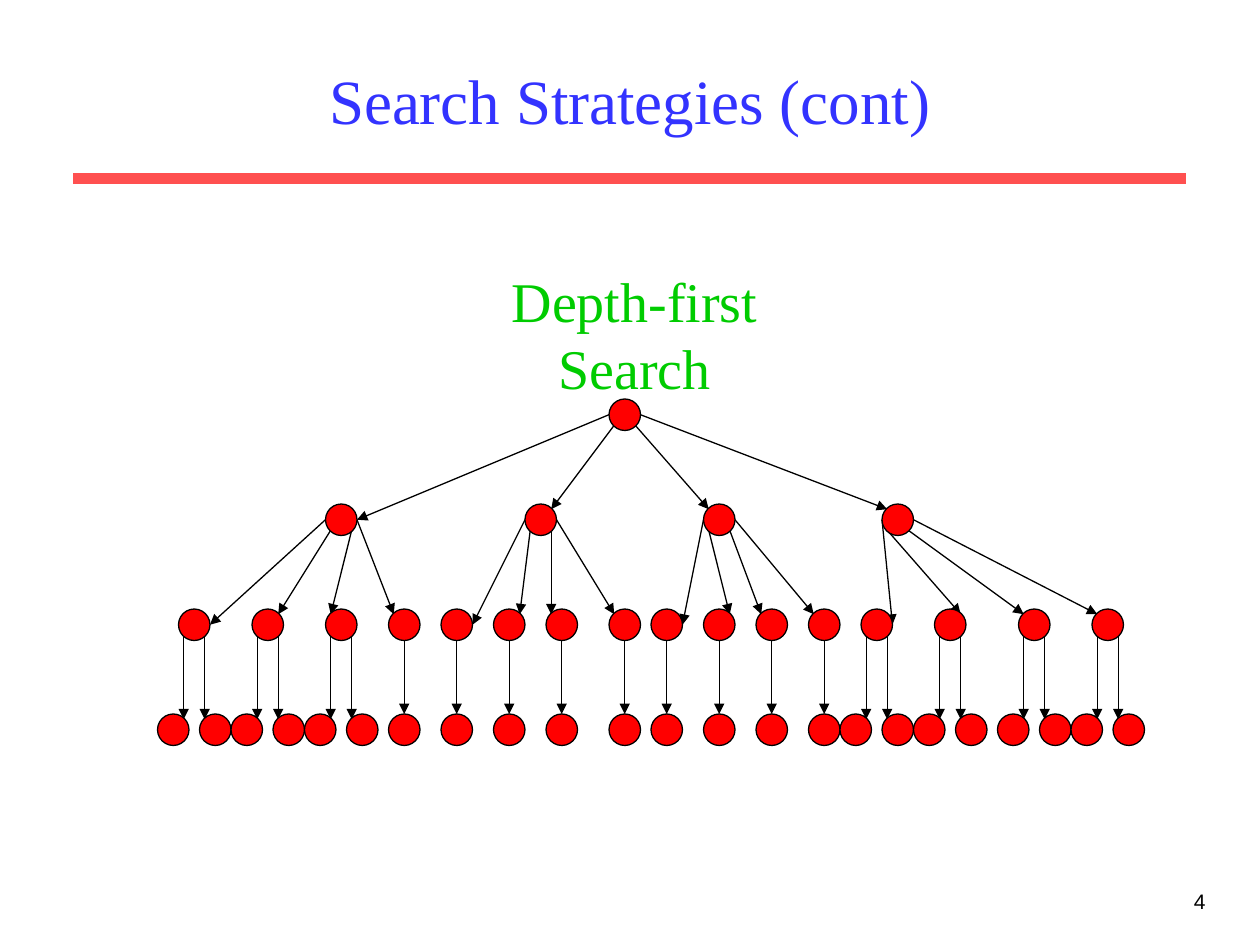
import pptx
import pptx.util
import pptx.dml.color
import pptx.enum.shapes
import pptx.enum.text
import pptx.oxml.ns
from lxml import etree

PX = 9525
COLORS = {"title": "3333FF", "rule": "FF5050", "heading": "00CC00",
          "node": "FF0000", "ink": "000000"}
ALIGN = pptx.enum.text.PP_ALIGN
DIAMETER = 24
SITES = {"top": (0, -12), "bottom": (0, 12), "left": (-12, 0), "right": (12, 0),
         "top_left": (-8, -8), "top_right": (8, -8),
         "bottom_left": (-8, 8), "bottom_right": (8, 8)}
ROUTES = {
    1: [("bottom", "top")],
    2: [("bottom_left", "top_right"), ("bottom_right", "top_left")],
    4: [("left", "right"), ("bottom_left", "top_right"),
        ("bottom_right", "top_left"), ("right", "top_left")],
}
ROOT_X, ROOT_Y, LEVEL_GAP = 476, 316, 80
BRANCHES = {
    260: [148, 204, 260, 308],
    412: [348, 388, 428, 476],
    548: [508, 548, 588, 628],
    684: [668, 724, 788, 844],
}
PAIR_PARENTS = {148, 204, 260, 668, 724, 788, 844}
PAIR_OFFSET = 16


def emu(*lengths):
    return [pptx.util.Emu(n * PX) for n in lengths]


def rgb(name):
    return pptx.dml.color.RGBColor.from_string(COLORS[name])


def set_text(s, text, align, color, frame, **font):
    tf = s.text_frame
    for key, value in frame.items():
        setattr(tf, key, value)
    p = tf.paragraphs[0]
    p.alignment = align
    r = p.add_run()
    r.text = text
    for key, value in font.items():
        setattr(r.font, key, value)
    r.font.color.rgb = rgb(color)


def add_title(slide, text):
    s = slide.shapes.title
    s.left, s.top, s.width, s.height = emu(72, 24, 816, 104)
    frame = {"vertical_anchor": pptx.enum.text.MSO_ANCHOR.MIDDLE, "word_wrap": True}
    set_text(s, text, ALIGN.CENTER, "title", frame,
             name="Times New Roman", size=pptx.util.Pt(36))


def add_text(slide, box, text, align, color, frame, **font):
    s = slide.shapes.add_textbox(*emu(*box))
    set_text(s, text, align, color, frame, **font)


def add_line(slide, start, end, color, width, arrow=False):
    s = slide.shapes.add_connector(
        pptx.enum.shapes.MSO_CONNECTOR.STRAIGHT, *emu(*start, *end))
    s.line.color.rgb = rgb(color)
    s.line.width = pptx.util.Pt(width)
    qn = pptx.oxml.ns.qn
    if arrow:
        etree.SubElement(s.line._get_or_add_ln(), qn("a:tailEnd"), type="triangle")
    etree.SubElement(s._element.spPr, qn("a:effectLst"))


def add_node(slide, x, y):
    r = DIAMETER // 2
    s = slide.shapes.add_shape(pptx.enum.shapes.MSO_SHAPE.OVAL,
                               *emu(x - r, y - r, DIAMETER, DIAMETER))
    s.shadow.inherit = False
    s.fill.solid()
    s.fill.fore_color.rgb = rgb("node")
    s.line.color.rgb = rgb("ink")
    s.line.width = pptx.util.Pt(0.75)


def site(x, y, name):
    dx, dy = SITES[name]
    return x + dx, y + dy


def children_of(x, level):
    if level == 0:
        return list(BRANCHES)
    if level == 1:
        return BRANCHES[x]
    if level == 2:
        return [x - PAIR_OFFSET, x + PAIR_OFFSET] if x in PAIR_PARENTS else [x]
    return []


def add_tree(slide, x, level=0):
    y = ROOT_Y + level * LEVEL_GAP
    children = children_of(x, level)
    for child, (leave, enter) in zip(children, ROUTES.get(len(children), [])):
        add_line(slide, site(x, y, leave), site(child, y + LEVEL_GAP, enter),
                 "ink", 0.75, arrow=True)
        add_tree(slide, child, level + 1)
    add_node(slide, x, y)


def main():
    prs = pptx.Presentation()
    prs.slide_width, prs.slide_height = emu(960, 720)
    slide = prs.slides.add_slide(prs.slide_layouts[5])
    add_line(slide, (56, 136), (904, 136), "rule", 6)
    add_text(slide, (728, 672, 200, 48), "4", ALIGN.RIGHT, "ink",
             {"word_wrap": True}, name="Arial", size=pptx.util.Pt(12))
    add_title(slide, "Search Strategies (cont)")
    add_tree(slide, ROOT_X)
    add_text(slide, (317, 198, 333, 61), "Depth-first Search", ALIGN.CENTER, "heading",
             {"word_wrap": False,
              "auto_size": pptx.enum.text.MSO_AUTO_SIZE.SHAPE_TO_FIT_TEXT},
             name="Times New Roman", size=pptx.util.Pt(32))
    prs.save("out.pptx")


if __name__ == "__main__":
    main()
